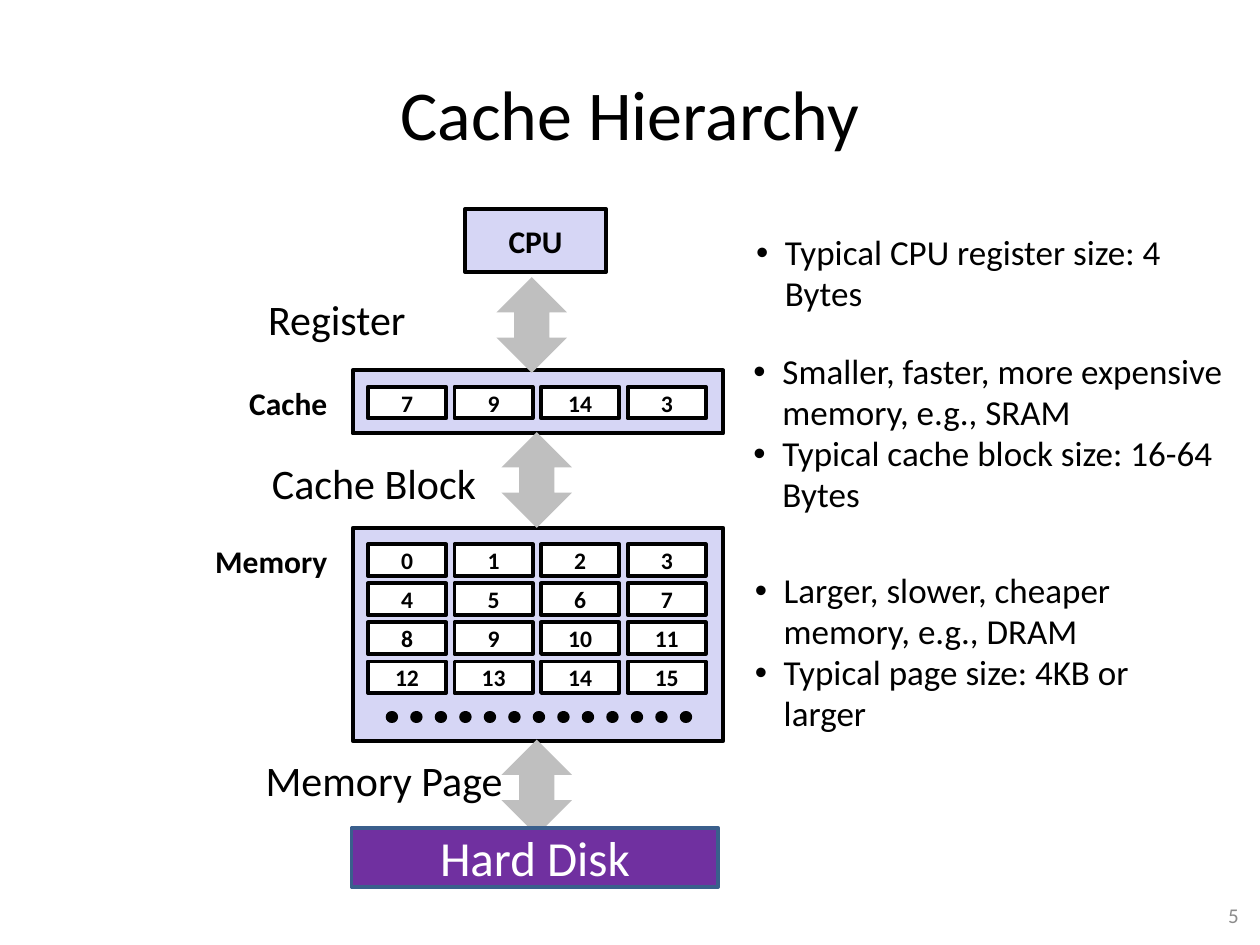
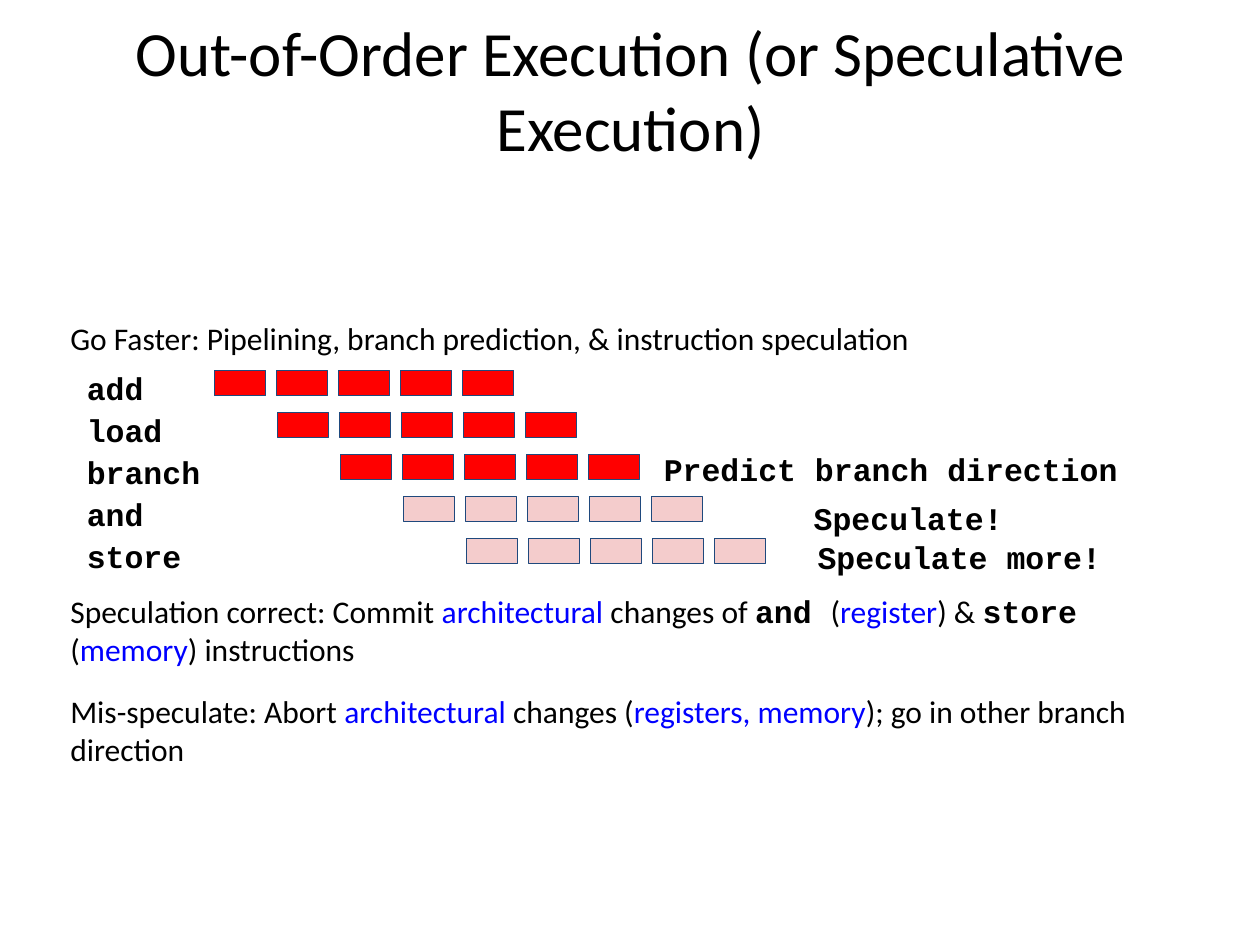
from dataclasses import dataclass
from lxml.etree import SubElement
from pptx import Presentation
from pptx.dml.color import RGBColor
from pptx.enum.dml import MSO_LINE
from pptx.enum.shapes import MSO_CONNECTOR, MSO_SHAPE
from pptx.enum.text import MSO_ANCHOR, PP_ALIGN
from pptx.oxml.ns import qn
from pptx.util import Inches, Pt

COLS, ROWS = 100, 75
WIDTH, HEIGHT = Inches(10), Inches(7.5)


@dataclass(frozen=True)
class Theme:
    black: str = "000000"
    white: str = "FFFFFF"
    lavender: str = "D6D6F5"
    arrow: str = "BFBFBF"
    purple: str = "7030A0"
    disk_line: str = "3A5F8C"
    done: str = "FF0000"
    speculative: str = "F4CCCC"
    stage_line: str = "1F497D"
    term: str = "0000FF"
    number: str = "8C8C8C"
    sans: str = "Calibri"
    mono: str = "Courier New"


T = Theme()


def style(size, color=T.black, name=T.sans, bold=False):
    return {"font": {"name": name, "size": Pt(size), "bold": bold}, "color": color}


STYLES = {
    "title": style(40),
    "long title": style(36),
    "number": style(12, T.number),
    "transfer": style(24),
    "level": style(18, bold=True),
    "block": style(13.5, bold=True),
    "disk": style(28, T.white),
    "bullet": style(20),
    "body": style(18),
    "term": style(18, T.term),
    "code": style(18, name=T.mono, bold=True),
}
TIGHT = (0.07, 0.04)
EVEN = (0.1, 0.1)
NORMAL = (0.1, 0.05)


def rgb(color):
    return RGBColor.from_string(color)


def place(col, row, cols, rows):
    x, y = WIDTH / COLS, HEIGHT / ROWS
    return [round(v) for v in (col * x, row * y, cols * x, rows * y)]


def write(sp, paragraphs, kind, align=PP_ALIGN.LEFT, anchor=MSO_ANCHOR.TOP,
          inset=NORMAL, wrap=True):
    tf = sp.text_frame
    side, end = (Inches(v) for v in inset)
    frame = {"word_wrap": wrap, "vertical_anchor": anchor, "margin_left": side,
             "margin_right": side, "margin_top": end, "margin_bottom": end}
    for name, value in frame.items():
        setattr(tf, name, value)
    for i, runs in enumerate(paragraphs):
        p = tf.paragraphs[0] if i == 0 else tf.add_paragraph()
        p.alignment = align
        for run in [(runs, kind)] if isinstance(runs, str) else runs:
            r = p.add_run()
            r.text, look = run[0], STYLES[run[1]]
            for name, value in look["font"].items():
                setattr(r.font, name, value)
            r.font.color.rgb = rgb(look["color"])
    return tf


def add_text(shapes, at, paragraphs, kind, **options):
    return write(shapes.add_textbox(*place(*at)), paragraphs, kind, **options)


def add_title(s, at, text, kind):
    add_text(s.shapes, at, [text], kind, align=PP_ALIGN.CENTER, anchor=MSO_ANCHOR.MIDDLE)


def add_bullets(s, at, items):
    tf = add_text(s.shapes, at, items, "bullet", anchor=MSO_ANCHOR.MIDDLE, inset=TIGHT)
    for p in tf.paragraphs:
        p.line_spacing = 0.98
        pPr = p._p.get_or_add_pPr()
        pPr.set("marL", str(Inches(0.23)))
        pPr.set("indent", str(-Inches(0.23)))
        SubElement(pPr, qn("a:buFont")).set("typeface", "Arial")
        SubElement(pPr, qn("a:buChar")).set("char", "•")


def add_box(shapes, at, fill, line=T.black, weight=2.25, text=None, kind="block",
            inset=TIGHT, shape=MSO_SHAPE.RECTANGLE):
    sp = shapes.add_shape(shape, *place(*at))
    sp.shadow.inherit = False
    sp.fill.solid()
    sp.fill.fore_color.rgb = rgb(fill)
    if line:
        sp.line.color.rgb = rgb(line)
        sp.line.width = Pt(weight)
    else:
        sp.line.fill.background()
    if text:
        write(sp, [text], kind, PP_ALIGN.CENTER, MSO_ANCHOR.MIDDLE, inset)


def add_blocks(s, top, values):
    for i, value in enumerate(values):
        row, col = divmod(i, 4)
        at = (29.2 + 6.87 * col, top + 3.1 * row, 6.2, 2.5)
        add_box(s.shapes, at, T.white, text=str(value))


def add_transfer(s, arrow, label, text):
    add_box(s.shapes, (*arrow, 5.6, 7.6), T.arrow, None, shape=MSO_SHAPE.UP_DOWN_ARROW)
    add_text(s.shapes, (*label, 21.3, 4.5), [text], "transfer")


def add_dots(s, col, row, cols):
    x, y, w, h = place(col, row, cols, 0)
    c = s.shapes.add_connector(MSO_CONNECTOR.STRAIGHT, x, y, x + w, y)
    c.line.color.rgb = rgb(T.black)
    c.line.width = Pt(7)
    c.line.dash_style = MSO_LINE.ROUND_DOT
    spPr = c._element.spPr
    spPr.find(qn("a:ln")).set("cap", "rnd")
    SubElement(spPr, qn("a:effectLst"))


def add_instruction(s, index, name, fill):
    shapes = s.shapes.add_group_shape().shapes
    top = 29.4 + 3.33 * index
    add_text(shapes, (5.9, top - 1.1, 11.1, 4.2), [name], "code", inset=EVEN, wrap=False)
    for stage in range(5):
        at = (17 + 5 * index + 4.92 * stage, top, 4.1, 2)
        add_box(shapes, at, fill, T.stage_line, 0.75)


def build_cache_hierarchy(s):
    add_title(s, (10.1, 4, 79.8, 9.8), "Cache Hierarchy", "title")
    add_text(s.shapes, (76, 70.6, 23.3, 4), ["5"], "number",
             align=PP_ALIGN.RIGHT, anchor=MSO_ANCHOR.MIDDLE)
    add_box(s.shapes, (36.9, 16.6, 11.2, 5), T.lavender, text="CPU", kind="level")
    for top, rows, values in ((29.4, 5, (7, 9, 14, 3)), (41.9, 16.9, range(16))):
        add_box(s.shapes, (28, top, 29.4, rows), T.lavender)
        add_blocks(s, top + 1.3, values)
    add_dots(s, 31.1, 56.9, 25)
    for at, text in (((18.8, 30, 8.3, 4), "Cache"), ((16.1, 42.5, 11, 4), "Memory")):
        add_text(s.shapes, at, [text], "level", wrap=False)
    add_transfer(s, (39.4, 22), (20.3, 22.8), "Register")
    add_transfer(s, (39.8, 34.3), (20.6, 35.8), "Cache Block")
    add_transfer(s, (39.8, 58.7), (20.1, 59.4), "Memory Page")
    add_box(s.shapes, (27.9, 65.7, 29.1, 4.7), T.purple, T.disk_line, 2,
            "Hard Disk", "disk", NORMAL)
    add_bullets(s, (59.3, 18, 39.2, 7.4), ["Typical CPU register size: 4 Bytes"])
    add_bullets(s, (59.1, 27.4, 39.2, 14),
                ["Smaller, faster, more expensive memory, e.g., SRAM",
                 "Typical cache block size: 16-64 Bytes"])
    add_bullets(s, (59.2, 44.8, 36.8, 14),
                ["Larger, slower, cheaper memory, e.g., DRAM",
                 "Typical page size: 4KB or larger"])


def build_speculation(s):
    add_title(s, (1.7, 0.8, 96.7, 12.5),
              "Out-of-Order Execution (or Speculative Execution)", "long title")
    instructions = (("add", T.done), ("load", T.done), ("branch", T.done),
                    ("and", T.speculative), ("store", T.speculative))
    for i, (name, fill) in enumerate(instructions):
        add_instruction(s, i, name, fill)
    remarks = (((51.7, 34.7, 38.7, 4.2), "Predict branch direction"),
               ((63.6, 38.6, 26.4, 4.2), "Speculate!"),
               ((63.9, 41.7, 27.3, 4.2), "Speculate more!"))
    for at, text in remarks:
        add_text(s.shapes, at, [text], "code", inset=EVEN, wrap=False)
    correct = [("Speculation correct: Commit ", "body"), ("architectural", "term"),
               (" changes of ", "body"), ("and ", "code"), ("(", "body"),
               ("register", "term"), (") & ", "body"), ("store", "code"),
               (" (", "body"), ("memory", "term"), (") instructions", "body")]
    wrong = [("Mis-speculate: Abort ", "body"), ("architectural", "term"),
             (" changes (", "body"), ("registers, memory", "term"),
             ("); go in other branch direction", "body")]
    faster = "Go Faster: Pipelining, branch prediction, & instruction speculation"
    for row, cols, text in ((24.3, 73, faster), (46, 86.1, correct), (53.9, 92.5, wrong)):
        add_text(s.shapes, (4.6, row, cols, 4.2), [text], "body", inset=EVEN)


def main():
    prs = Presentation()
    prs.slide_width, prs.slide_height = WIDTH, HEIGHT
    for build in (build_cache_hierarchy, build_speculation):
        build(prs.slides.add_slide(prs.slide_layouts[6]))
    prs.save("out.pptx")


if __name__ == "__main__":
    main()
